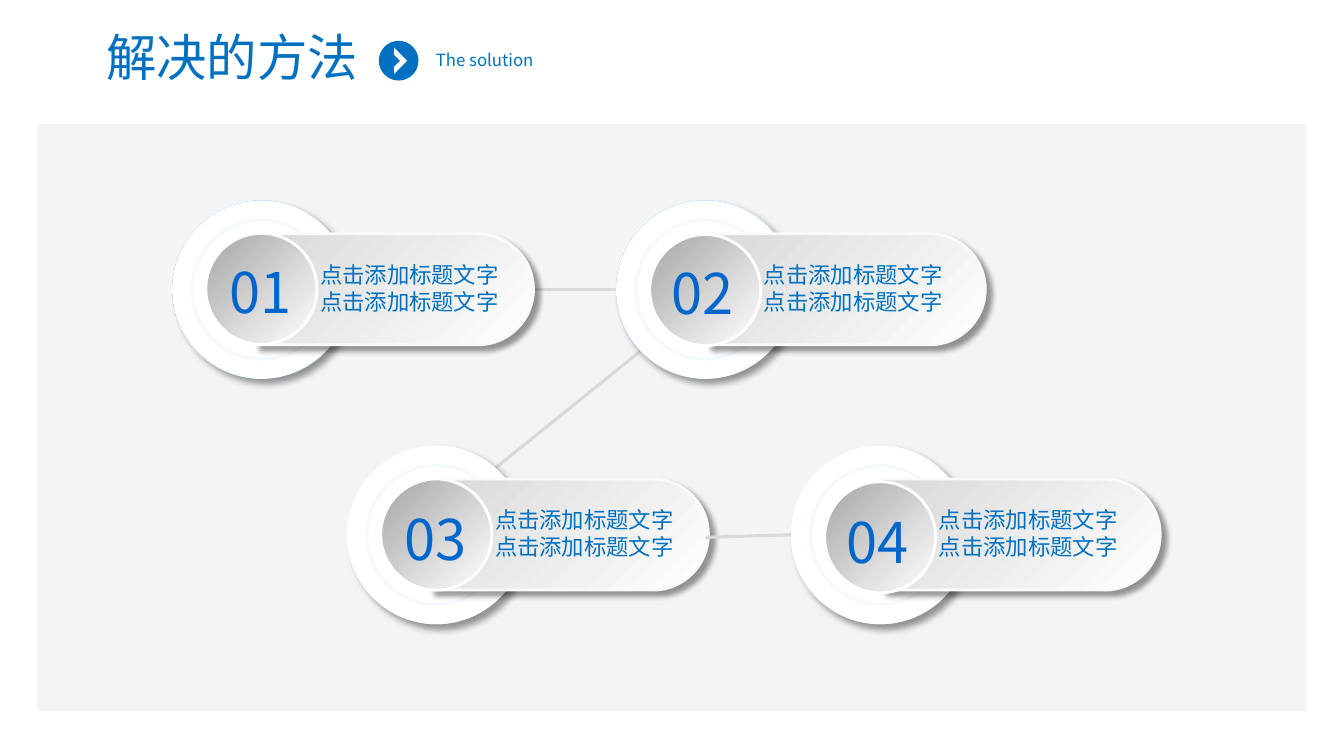
from dataclasses import dataclass

from lxml import etree
from pptx import Presentation
from pptx.dml.color import RGBColor
from pptx.enum.shapes import MSO_CONNECTOR, MSO_SHAPE
from pptx.enum.text import MSO_ANCHOR, MSO_AUTO_SIZE, PP_ALIGN
from pptx.oxml.ns import qn
from pptx.util import Cm, Pt

OVAL, RECTANGLE = MSO_SHAPE.OVAL, MSO_SHAPE.RECTANGLE
STRAIGHT = MSO_CONNECTOR.STRAIGHT
MIDDLE, NO_FIT = MSO_ANCHOR.MIDDLE, MSO_AUTO_SIZE.NONE
LEFT, CENTER = PP_ALIGN.LEFT, PP_ALIGN.CENTER

TITLE = "解决的方法"
SUBTITLE = "The solution"
CAPTION = "点击添加标题文字\n点击添加标题文字"
STEPS = [
    {"number": "02", "row": 0, "column": 1, "number_at": (1.09, 1.34),
     "link": (16.54, 8.53, 12.12, 12.09)},
    {"number": "01", "row": 0, "column": 0, "number_at": (1.14, 1.3),
     "link": (15.53, 7.29, 13.46, 7.29)},
    {"number": "03", "row": 1, "column": 0, "number_at": (1.13, 1.35),
     "link": None},
    {"number": "04", "row": 1, "column": 1, "number_at": (1.08, 1.43),
     "link": (20.42, 13.46, 17.78, 13.54)},
]


@dataclass(frozen=True)
class Theme:
    font: str = "Noto Sans CJK SC"
    blue: str = "0070C0"
    number_blue: str = "0066CC"
    white: str = "FFFFFF"
    panel: str = "F2F2F2"
    link: str = "D9D9D9"
    pill_dark: str = "D9D9D9"
    badge_dark: str = "A6A6A6"
    ring: str = "F5F8FC"
    pill_edge: str = "FAFAFA"
    rims: tuple = ("3399FF", "FFFFFF")
    title_size: int = 36
    subtitle_size: int = 12
    caption_size: int = 16
    caption_leading: float = 19.4
    number_size: int = 40


THEME = Theme()

FIRST_LEFT, FIRST_TOP = 4.34, 5.05
COLUMN_STEP, ROW_STEP, ROW_INDENT = 11.19, 6.18, 4.41
DISC, RING, BADGE = 4.5, 3.5, 2.8
PILL_WIDTH, PILL_HEIGHT, PILL_DROP = 7.01, 2.8, 0.84
PILL_SHIFTS = (2.1, 2.3)
BADGE_DROPS = ((0.83, 0.86), (0.84, 0.91))
MARKER_CENTER, MARKER_RADIUS = (10.05, 1.53), 0.5
CHEVRON = [(0.22, 0), (-0.12, 0.34), (-0.12, 0.15),
           (0.03, 0), (-0.12, -0.15), (-0.12, -0.34)]
CURVE = 0.55


def rgb(color):
    return RGBColor.from_string(color)


def paint(shape, color, edge=None):
    shape.shadow.inherit = False
    if isinstance(color, tuple):
        shape.fill.gradient()
        shape.fill.gradient_angle = 135
        for stop, tone, position in zip(shape.fill.gradient_stops, color, (0, 1)):
            stop.color.rgb = rgb(tone)
            stop.position = position
    else:
        shape.fill.solid()
        shape.fill.fore_color.rgb = rgb(color)
    if edge:
        shape.line.color.rgb = rgb(edge)
        shape.line.width = Pt(2)
    else:
        shape.line.fill.background()
    return shape


def cast_shadow(shape, blur):
    effects = shape._element.spPr.find(qn("a:effectLst"))
    outer = etree.SubElement(effects, qn("a:outerShdw"), blurRad=str(Pt(blur)),
                             dist=str(Pt(5)), dir="2700000", algn="tl", rotWithShape="0")
    black = etree.SubElement(outer, qn("a:srgbClr"), val="000000")
    etree.SubElement(black, qn("a:alpha"), val="40000")


def write(shape, content, size, color, align=LEFT, leading=None):
    frame = shape.text_frame
    frame.text = content
    frame.auto_size = NO_FIT
    frame.word_wrap = True
    frame.vertical_anchor = MIDDLE
    for paragraph in frame.paragraphs:
        paragraph.alignment = align
        if leading:
            paragraph.line_spacing = Pt(leading)
        for run in paragraph.runs:
            run.font.size = Pt(size)
            run.font.name = THEME.font
            run.font.color.rgb = rgb(color)
            etree.SubElement(run._r.get_or_add_rPr(), qn("a:ea"), typeface=THEME.font)


def add_label(shapes, box, *style):
    label = shapes.add_textbox(*map(Cm, box))
    write(label, *style)
    return label


def add_preset(shapes, preset, box, color, edge=None):
    return paint(shapes.add_shape(preset, *map(Cm, box)), color, edge)


def add_circle(shapes, center, diameter, color, edge=None):
    x, y = center
    box = (x - diameter / 2, y - diameter / 2, diameter, diameter)
    return add_preset(shapes, OVAL, box, color, edge)


def add_outline(shapes, contours, color, edge=None):
    def to_emu(point):
        return tuple(map(Cm, point))

    builder = shapes.build_freeform(*to_emu(contours[0][0]))
    for index, (start, segments) in enumerate(contours):
        if index:
            builder.move_to(*to_emu(start))
        builder.add_line_segments([to_emu(p) for s in segments for p in s], close=True)
    outline = builder.convert_to_shape()
    nodes = iter(list(outline._element.iter(qn("a:lnTo"))))
    for _, segments in contours:
        for segment in segments:
            parts = [next(nodes) for _ in segment]
            if len(parts) == 3:
                bend = etree.Element(qn("a:cubicBezTo"))
                parts[0].addprevious(bend)
                for part in parts:
                    bend.append(part[0])
                    part.getparent().remove(part)
    return paint(outline, color, edge)


def quarter(hub, radius, start, end):
    def spot(u, v):
        return hub[0] + radius * u, hub[1] + radius * v

    (a, b), (c, d) = start, end
    return (spot(a + CURVE * c, b + CURVE * d),
            spot(c + CURVE * a, d + CURVE * b), spot(c, d))


def pill_contour(left, top):
    radius = PILL_HEIGHT / 2
    hub = (left + PILL_WIDTH - radius, top + radius)
    return (left, top), [((hub[0], top),),
                         quarter(hub, radius, (0, -1), (1, 0)),
                         quarter(hub, radius, (1, 0), (0, 1)),
                         ((left, top + PILL_HEIGHT),)]


def marker_contours():
    x, y = MARKER_CENTER
    compass = [(0, -1), (-1, 0), (0, 1), (1, 0), (0, -1)]
    rim = [quarter(MARKER_CENTER, MARKER_RADIUS, a, b)
           for a, b in zip(compass, compass[1:])]
    tip, *others = [(x + dx, y + dy) for dx, dy in CHEVRON]
    return [((x, y - MARKER_RADIUS), rim), (tip, [(point,) for point in others])]


def add_link(shapes, ends):
    link = shapes.add_connector(STRAIGHT, *map(Cm, ends))
    link.line.color.rgb = rgb(THEME.link)
    link.line.width = Pt(2.25)
    etree.SubElement(link._element.spPr, qn("a:effectLst"))


def add_step(shapes, number, row, column, number_at, link):
    if link:
        add_link(shapes, link)
    left = FIRST_LEFT + column * COLUMN_STEP + row * ROW_INDENT
    top = FIRST_TOP + row * ROW_STEP
    center = (left + DISC / 2, top + DISC / 2)
    cast_shadow(add_circle(shapes, center, DISC, THEME.rims[row]), 5)
    add_circle(shapes, center, DISC, THEME.white)
    add_circle(shapes, center, RING, THEME.white, THEME.ring)

    pill = pill_contour(left + PILL_SHIFTS[column], top + PILL_DROP)
    cast_shadow(add_outline(shapes, [pill], (THEME.white, THEME.pill_dark),
                            THEME.pill_edge), 4)
    add_label(shapes, (left + 3.48, top + 1.39, 5.08, 1.63), CAPTION,
              THEME.caption_size, THEME.blue, LEFT, THEME.caption_leading)

    badge_center = (center[0], top + BADGE_DROPS[row][column] + BADGE / 2)
    add_circle(shapes, badge_center, BADGE, (THEME.white, THEME.badge_dark), THEME.white)
    dx, dy = number_at
    label = add_label(shapes, (left + dx, top + dy, 2.18, 1.96), number,
                      THEME.number_size, THEME.number_blue, CENTER)
    label.text_frame.margin_left = label.text_frame.margin_right = 0


def add_header(shapes):
    title = shapes.title
    title.left, title.top, title.width, title.height = map(Cm, (1.95, 0.53, 7.8, 1.8))
    write(title, TITLE, THEME.title_size, THEME.blue, CENTER)
    add_outline(shapes, marker_contours(), THEME.blue)
    add_label(shapes, (10.74, 1.14, 6.35, 0.76), SUBTITLE,
              THEME.subtitle_size, THEME.blue)


def main():
    deck = Presentation()
    deck.slide_width, deck.slide_height = Cm(33.88), Cm(19.05)
    shapes = deck.slides.add_slide(deck.slide_layouts[5]).shapes
    add_header(shapes)
    panel = add_preset(shapes, RECTANGLE, (0.94, 3.13, 32, 14.8), THEME.panel)
    tone = panel._element.spPr.find(qn("a:solidFill"))[0]
    etree.SubElement(tone, qn("a:alpha"), val="78000")
    for step in STEPS:
        add_step(shapes, **step)
    deck.save("out.pptx")


if __name__ == "__main__":
    main()
